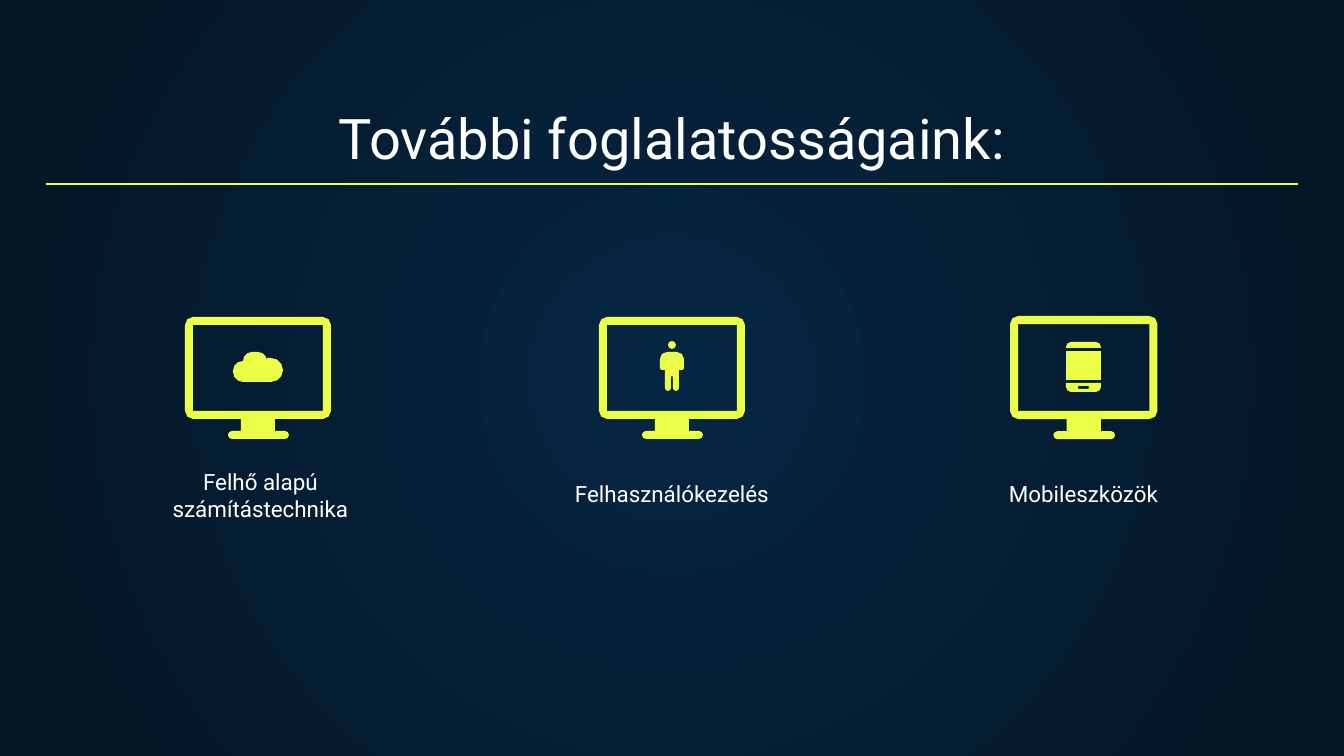
from math import cos, dist, pi, sin

from lxml import etree
from pptx import Presentation
from pptx.dml.color import RGBColor
from pptx.enum.shapes import MSO_CONNECTOR as Link
from pptx.enum.text import MSO_ANCHOR as Anchor, PP_ALIGN as Align
from pptx.oxml import parse_xml
from pptx.oxml.ns import nsdecls, qn
from pptx.util import Pt

PX = 914400 / 134.4
LIME = RGBColor(0xEC, 0xFF, 0x48)
WHITE = RGBColor(0xFF, 0xFF, 0xFF)
NAVY = RGBColor(0x05, 0x26, 0x43)
NIGHT = RGBColor(0x04, 0x15, 0x23)


def draw(shapes, *loops):
    pen = None
    for loop in loops:
        dots = []
        for i, (x, y, r) in enumerate(loop):
            if r == 0:
                dots.append((x * PX, y * PX))
                continue
            back, ahead = loop[i - 1][:2], loop[(i + 1) % len(loop)][:2]
            a, b = dist((x, y), back), dist((x, y), ahead)
            parts = 3 if r > 8 else 2
            for step in range(parts + 1):
                turn = step * pi / 2 / parts
                u, v = r * (1 - sin(turn)) / a, r * (1 - cos(turn)) / b
                dots.append(((x + u * (back[0] - x) + v * (ahead[0] - x)) * PX,
                             (y + u * (back[1] - y) + v * (ahead[1] - y)) * PX))
        if pen is None:
            pen = shapes.build_freeform(*dots[0])
        else:
            pen.move_to(*dots[0])
        pen.add_line_segments(dots[1:], close=True)
    shape = pen.convert_to_shape()
    shape.shadow.inherit = False
    shape.fill.solid()
    shape.fill.fore_color.rgb = LIME
    shape.line.fill.background()


def box(left, top, right, low, r=0):
    return [(left, top, r), (right, top, r), (right, low, r), (left, low, r)]


deck = Presentation()
deck.slide_width, deck.slide_height = round(1344 * PX), round(756 * PX)
slide = deck.slides.add_slide(deck.slide_layouts[6])
shapes = slide.shapes

fill = slide.background.fill
fill.gradient()
for stop, color, place in zip(fill.gradient_stops, (NAVY, NIGHT), (0, 1)):
    stop.color.rgb = color
    stop.position = place
linear = next(slide.background._cSld.iter(qn("a:lin")))
linear.getparent().replace(linear, parse_xml(
    f'<a:path {nsdecls("a")} path="circle">'
    '<a:fillToRect l="50000" t="50000" r="50000" b="50000"/></a:path>'))

for text, x, y, wide, high, size in (
    ("További foglalatosságaink:", 46, 95, 1252, 89, 30),
    ("Felhő alapú számítástechnika", 108, 446, 305, 89, 12),
    ("Mobileszközök", 931, 465, 305, 55, 12),
    ("Felhasználókezelés", 519, 468, 306, 52, 12),
):
    label = shapes.add_textbox(*(round(n * PX) for n in (x, y, wide, high)))
    frame = label.text_frame
    frame.word_wrap = True
    frame.vertical_anchor = Anchor.BOTTOM
    frame.margin_left = frame.margin_right = round(13 * PX)
    frame.margin_top = frame.margin_bottom = round(13 * PX)
    frame.text = text
    para = frame.paragraphs[0]
    para.alignment = Align.CENTER
    font = para.runs[0].font
    font.name, font.size, font.color.rgb = "Roboto", Pt(size), WHITE

case = [(0, 0, 8), (146, 0, 8), (146, 102, 8), (90, 102, 0), (90, 114, 0),
        (104, 114, 4), (104, 122, 4), (43, 122, 4), (43, 114, 4),
        (56, 114, 0), (56, 102, 0), (0, 102, 8)]
for x, y, zoom in ((185, 317, 1), (599, 317, 1), (1010, 316, 1.01)):
    draw(shapes, *([(x + a * zoom, y + b * zoom, r) for a, b, r in loop]
                   for loop in (case, box(8, 8, 138, 94))))

rule = shapes.add_connector(
    Link.STRAIGHT, *(round(n * PX) for n in (46, 184, 1298, 184)))
rule.line.color.rgb = LIME
rule.line.width = Pt(0.75)
etree.SubElement(rule._element.spPr, qn("a:effectLst"))

phone = shapes.add_group_shape().shapes
draw(phone, [(1066, 348, 0), (1066, 342, 5), (1101, 342, 5), (1101, 348, 0)])
draw(phone, box(1066, 351, 1101, 380))
draw(phone, [(1066, 383, 0), (1101, 383, 0), (1101, 392, 5), (1066, 392, 5)],
     box(1078, 386, 1089, 389, 1))

draw(shapes, [(233, 382, 10), (233, 361, 10), (243, 361, 0), (243, 352, 9),
              (267, 352, 9), (267, 358, 0), (283, 358, 12), (283, 382, 12)])

man = shapes.add_group_shape().shapes
draw(man, box(668, 341, 676, 349, 4))
draw(man, [(660, 352, 7), (684, 352, 7), (684, 370, 2), (679, 370, 0),
           (679, 391, 3), (673, 391, 3), (673, 376, 1), (671, 376, 1),
           (671, 391, 3), (665, 391, 3), (665, 370, 0), (660, 370, 2)])

deck.save("out.pptx")
